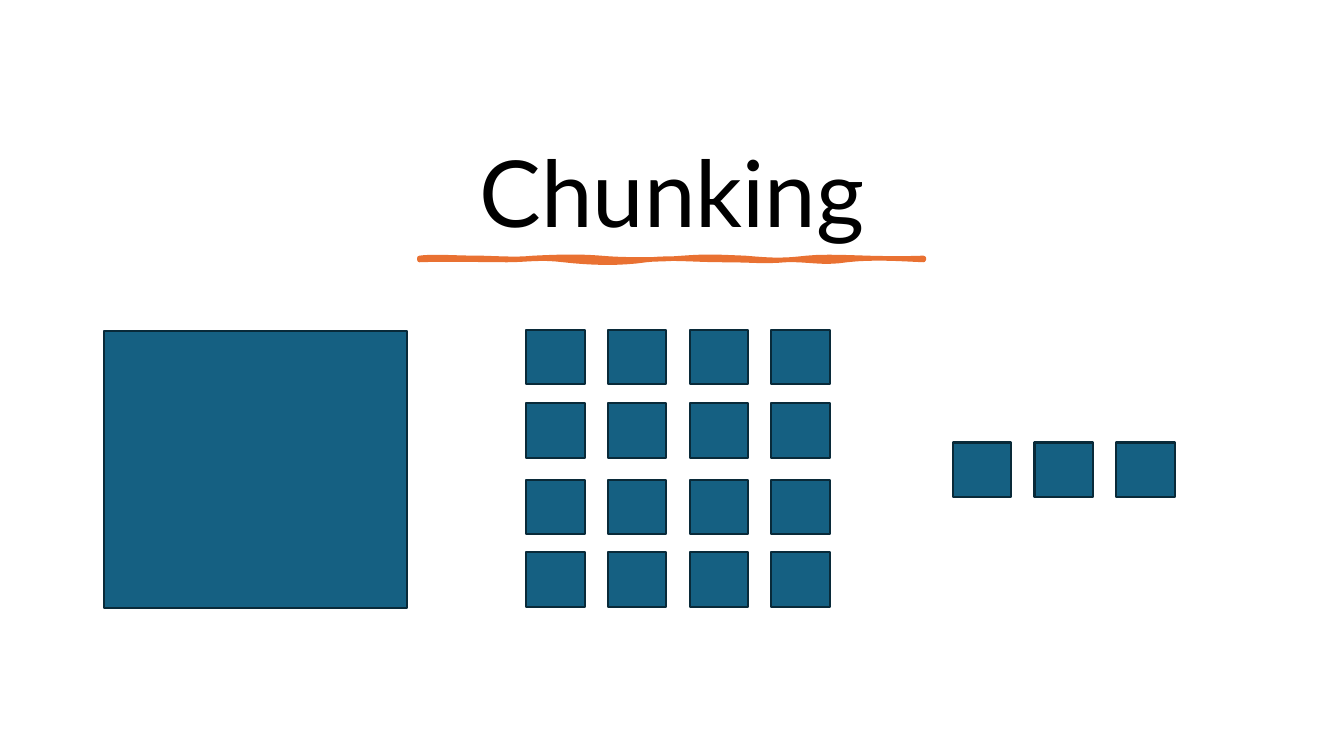
from lxml.etree import SubElement
from pptx import Presentation
from pptx.dml.color import RGBColor
from pptx.enum.shapes import MSO_SHAPE
from pptx.enum.text import MSO_ANCHOR, PP_ALIGN
from pptx.oxml.ns import qn
from pptx.util import Inches, Pt

BLUE, NAVY, ORANGE, BLACK = "156082", "092A39", "E97132", "000000"
CHUNK_W, CHUNK_H, CHUNK_PITCH = 0.58, 0.54, 0.81
ROW_TOPS = (3.27, 4, 4.76, 5.48)

# Each curve: first control point, second control point, end point
STROKE_START = (4.16, 2.56)
STROKE_CURVES = [
    ((4.28, 2.54), (4.54, 2.56), (4.73, 2.56)),
    ((4.92, 2.56), (5.09, 2.58), (5.29, 2.56)),
    ((5.49, 2.55), (5.74, 2.54), (5.96, 2.56)),
    ((6.17, 2.58), (6.53, 2.58), (6.77, 2.56)),
    ((7.02, 2.54), (7.14, 2.55), (7.39, 2.56)),
    ((7.63, 2.58), (7.74, 2.59), (8, 2.56)),
    ((8.26, 2.53), (8.67, 2.58), (9.16, 2.56)),
    ((9.17, 2.57), (9.16, 2.57), (9.16, 2.58)),
    ((8.95, 2.57), (8.65, 2.55), (8.4, 2.58)),
    ((8.15, 2.62), (8.01, 2.57), (7.79, 2.58)),
    ((7.56, 2.6), (7.47, 2.58), (7.17, 2.58)),
    ((6.87, 2.58), (6.67, 2.55), (6.41, 2.58)),
    ((6.14, 2.62), (5.85, 2.61), (5.59, 2.58)),
    ((5.34, 2.55), (5.23, 2.58), (5.03, 2.58)),
    ((4.83, 2.58), (4.38, 2.57), (4.16, 2.58)),
    ((4.16, 2.58), (4.16, 2.57), (4.16, 2.56)),
]


def rgb(value):
    return RGBColor.from_string(value)


def bezier_points(start, curves, steps=8):
    """Return points along a chain of cubic curves."""
    points = []
    for c1, c2, end in curves:
        for i in range(1, steps + 1):
            t = i / steps
            u = 1 - t
            points.append(tuple(
                u**3 * a + 3 * u * u * t * b + 3 * u * t * t * c + t**3 * d
                for a, b, c, d in zip(start, c1, c2, end)))
        start = end
    return points


class SlideBuilder:
    font = "Lato"

    def __init__(self, slide):
        self.shapes = slide.shapes

    def paint(self, sp, fill, line, width):
        sp.shadow.inherit = False
        sp.fill.solid()
        sp.fill.fore_color.rgb = rgb(fill)
        sp.line.color.rgb = rgb(line)
        sp.line.width = Pt(width)

    def title(self, text, x, y, w, h):
        sp = self.shapes.add_textbox(Inches(x), Inches(y), Inches(w), Inches(h))
        tf = sp.text_frame
        tf.word_wrap = True
        tf.vertical_anchor = MSO_ANCHOR.BOTTOM
        p = tf.paragraphs[0]
        p.alignment = PP_ALIGN.CENTER
        p.line_spacing = 0.9
        p.space_after = Pt(6)
        r = p.add_run()
        r.text = text
        r.font.name = self.font
        r.font.size = Pt(66)
        r.font.color.rgb = rgb(BLACK)

    def block(self, x, y, w=CHUNK_W, h=CHUNK_H):
        sp = self.shapes.add_shape(
            MSO_SHAPE.RECTANGLE, Inches(x), Inches(y), Inches(w), Inches(h))
        self.paint(sp, BLUE, NAVY, 1.5)

    def chunk_row(self, x, y, count):
        for i in range(count):
            self.block(x + i * CHUNK_PITCH, y)

    def brush_stroke(self, start, curves):
        builder = self.shapes.build_freeform(Inches(start[0]), Inches(start[1]))
        builder.add_line_segments(
            [(Inches(x), Inches(y)) for x, y in bezier_points(start, curves)])
        sp = builder.convert_to_shape()
        self.paint(sp, ORANGE, ORANGE, 3.25)
        SubElement(sp._element.spPr.find(qn("a:ln")), qn("a:round"))


def main():
    prs = Presentation()
    prs.slide_width, prs.slide_height = Inches(13.33), Inches(7.5)
    s = SlideBuilder(prs.slides.add_slide(prs.slide_layouts[6]))
    s.title("Chunking", 0.7, 0.5, 11.93, 2)
    s.brush_stroke(STROKE_START, STROKE_CURVES)
    s.block(1.03, 3.28, 3.01, 2.75)
    for top in ROW_TOPS:
        s.chunk_row(5.22, top, 4)
    s.chunk_row(9.45, 4.39, 3)
    prs.save("out.pptx")


if __name__ == "__main__":
    main()
